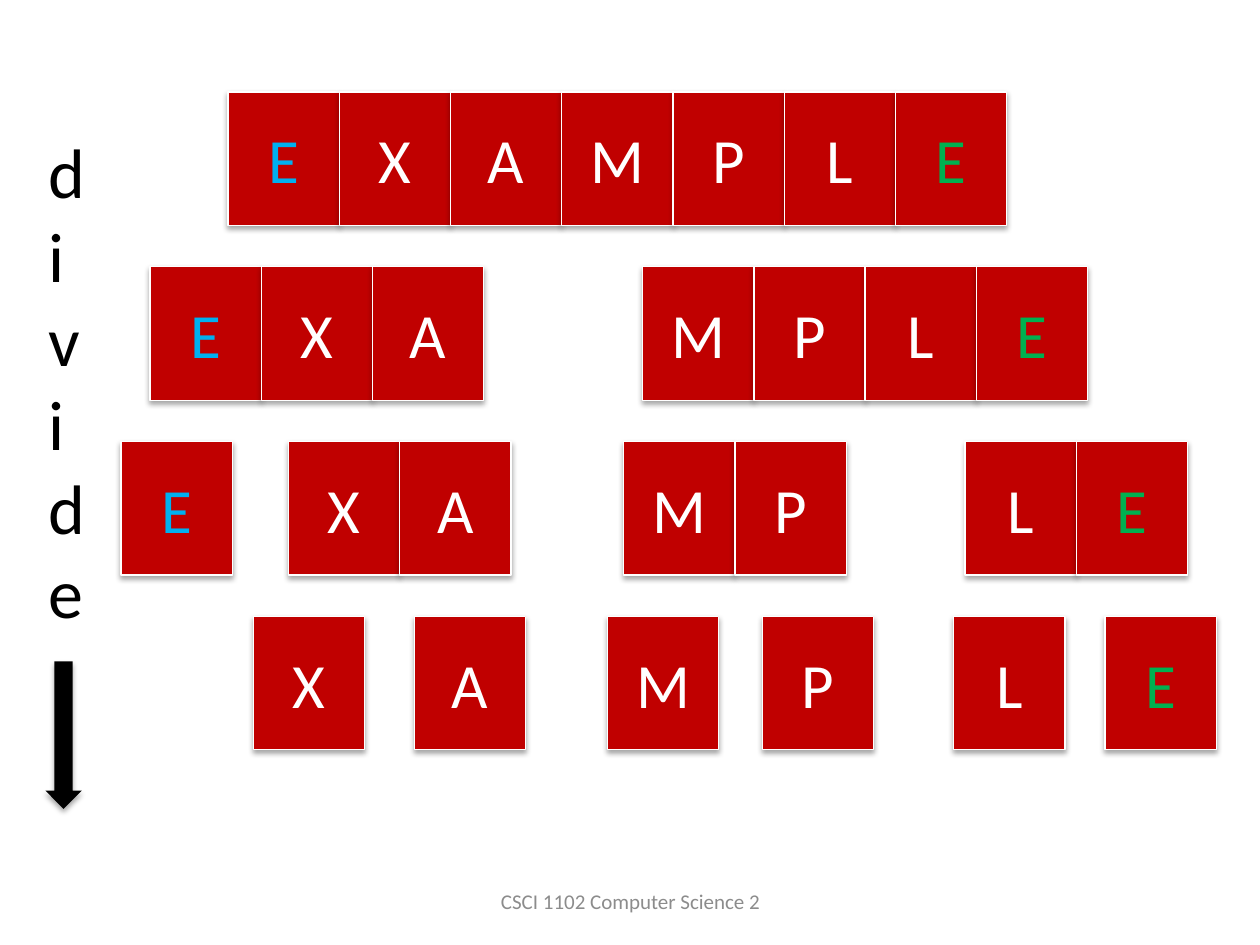
from lxml import etree
from pptx import Presentation
from pptx.dml.color import RGBColor
from pptx.enum.shapes import MSO_SHAPE
from pptx.enum.text import MSO_ANCHOR, PP_ALIGN
from pptx.oxml.ns import qn
from pptx.util import Inches, Pt

RECT, DOWN_ARROW = MSO_SHAPE.RECTANGLE, MSO_SHAPE.DOWN_ARROW
TOP, MIDDLE = MSO_ANCHOR.TOP, MSO_ANCHOR.MIDDLE
LEFT, CENTER = PP_ALIGN.LEFT, PP_ALIGN.CENTER

COLORS = {"tile": "C00000", "letter": "FFFFFF", "first_e": "00B0F0",
          "last_e": "00B050", "black": "000000", "footer": "8C8C8C"}

TILE_W, TILE_H = Inches(0.883), Inches(1.06)
ROW_TOP, ROW_PITCH = Inches(0.73), Inches(1.387)

# Each row of the split: (left edge in inches, letters that are still together)
ROWS = [
    [(1.81, "EXAMPLE")],
    [(1.19, "EXA"), (5.1, "MPLE")],
    [(0.96, "E"), (2.29, "XA"), (4.95, "MP"), (7.66, "LE")],
    [(2.01, "X"), (3.29, "A"), (4.82, "M"), (6.05, "P"), (7.57, "L"), (8.77, "E")],
]


def write(sp, text, size, color, align=CENTER, anchor=MIDDLE):
    tf = sp.text_frame
    tf.word_wrap = True
    tf.vertical_anchor = anchor
    p = tf.paragraphs[0]
    p.alignment = align
    r = p.add_run()
    r.text = text
    r.font.name, r.font.size = "Calibri", Pt(size)
    r.font.color.rgb = RGBColor.from_string(COLORS[color])


def add_block(kind, x, y, w, h, fill):
    """Add a filled shape with a soft shadow below it and a thin white outline on tiles."""
    sp = s.shapes.add_shape(kind, x, y, w, h)
    sp.fill.solid()
    sp.fill.fore_color.rgb = RGBColor.from_string(COLORS[fill])
    if kind == RECT:
        sp.line.color.rgb = RGBColor.from_string(COLORS["letter"])
        sp.line.width = Pt(0.75)
    else:
        sp.line.fill.background()
    sp.shadow.inherit = False
    effects = sp._element.spPr.find(qn("a:effectLst"))
    shadow = etree.SubElement(effects, qn("a:outerShdw"), blurRad=str(Pt(3.1)),
                              dist=str(Pt(1.8)), dir="5400000", rotWithShape="0")
    black = etree.SubElement(shadow, qn("a:srgbClr"), val=COLORS["black"])
    etree.SubElement(black, qn("a:alpha"), val="35000")
    return sp


prs = Presentation()
prs.slide_width, prs.slide_height = Inches(10), Inches(7.5)
s = prs.slides.add_slide(prs.slide_layouts[6])

footer = s.shapes.add_textbox(Inches(3.42), Inches(6.95), Inches(3.17), Inches(0.4))
write(footer, "CSCI 1102 Computer Science 2", 12, "footer")

for row, groups in enumerate(ROWS):
    for left, letters in groups:
        for col, letter in enumerate(letters):
            x = Inches(left) + col * TILE_W
            tile = add_block(RECT, x, ROW_TOP + int(row * ROW_PITCH), TILE_W, TILE_H, "tile")
            color = "letter"
            if letter == "E":
                color = "first_e" if x < prs.slide_width / 2 else "last_e"
            write(tile, letter, 36, color)

# The box is so narrow that each letter wraps to its own line
label = s.shapes.add_textbox(Inches(0.29), Inches(0.97), Inches(0.55), Inches(4.14))
write(label, "divide", 40, "black", align=LEFT, anchor=TOP)
add_block(DOWN_ARROW, Inches(0.36), Inches(5.25), Inches(0.29), Inches(1.17), "black")

prs.save("out.pptx")
